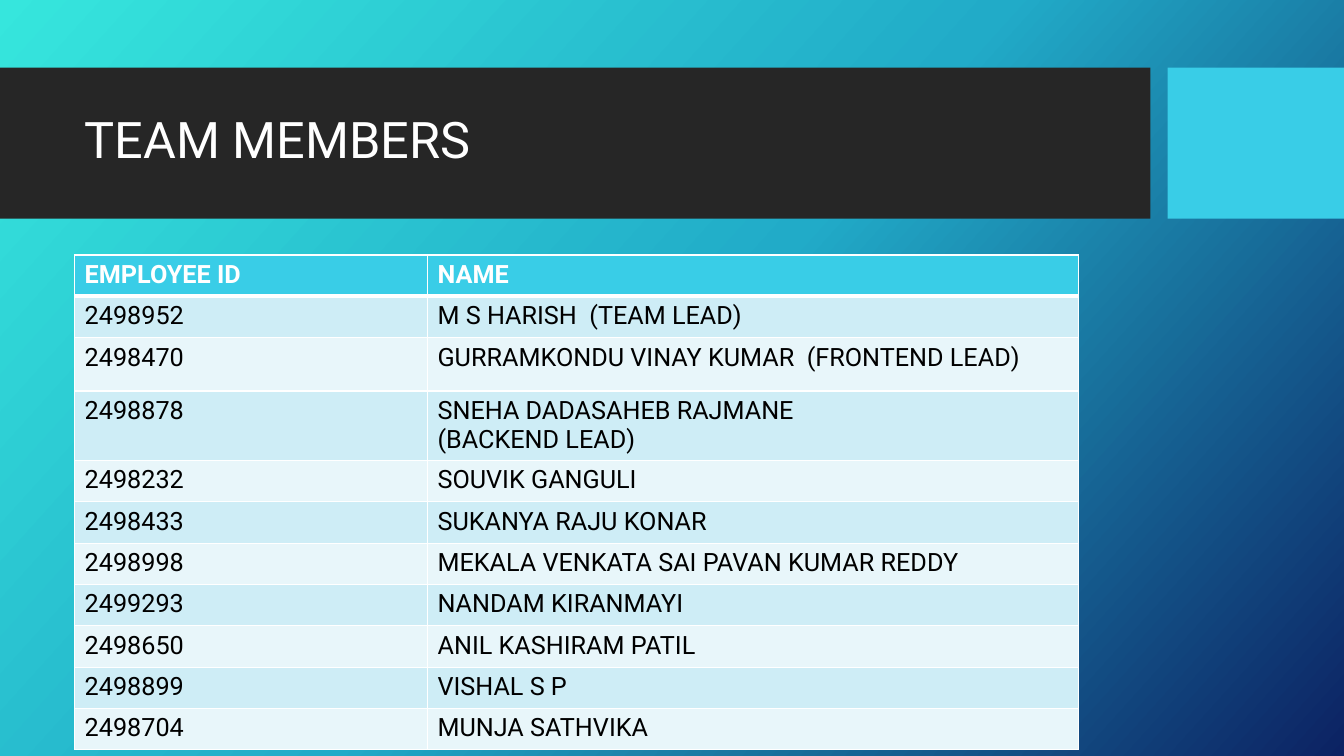
from lxml.etree import SubElement
from pptx import Presentation
from pptx.dml.color import RGBColor
from pptx.enum.shapes import MSO_SHAPE
from pptx.enum.text import MSO_ANCHOR, PP_ALIGN
from pptx.oxml.ns import qn
from pptx.util import Inches, Pt

COLORS = {
    "white": "FFFFFF", "black": "000000", "banner": "262626", "accent": "39CDE7",
    "band_dark": "CEEDF6", "band_light": "E8F6FA",
    "bg_start": "36E6DD", "bg_middle": "21ABC8", "bg_end": "0C2263",
}
HEADER = ("EMPLOYEE ID", "NAME")
MEMBERS = [
    ("2498952", "M S HARISH  (TEAM LEAD)"),
    ("2498470", "GURRAMKONDU VINAY KUMAR  (FRONTEND LEAD)"),
    ("2498878", "SNEHA DADASAHEB RAJMANE\n(BACKEND LEAD)"),
    ("2498232", "SOUVIK GANGULI"),
    ("2498433", "SUKANYA RAJU KONAR"),
    ("2498998", "MEKALA VENKATA SAI PAVAN KUMAR REDDY"),
    ("2499293", "NANDAM KIRANMAYI"),
    ("2498650", "ANIL KASHIRAM PATIL"),
    ("2498899", "VISHAL S P"),
    ("2498704", "MUNJA SATHVIKA"),
]
ROW_HEIGHT = 0.41
TALL_ROWS = {2: 0.53, 3: 0.69}


class SlideBuilder:
    """Hold the text style and the current slide, and add elements to it."""

    def __init__(self, slide, font="Roboto"):
        self.s = slide
        self.font = font

    def format_text(self, tf, size, color, bold=False):
        """Apply one font format to every paragraph of a text frame."""
        values = {"name": self.font, "size": Pt(size), "bold": bold}
        for p in tf.paragraphs:
            p.alignment = PP_ALIGN.LEFT
            for r in p.runs:
                for key, value in values.items():
                    setattr(r.font, key, value)
                r.font.color.rgb = RGBColor.from_string(COLORS[color])

    def background(self, stops, angle):
        """Fill the background with a linear gradient, angle clockwise."""
        fill = self.s.background.fill
        fill.gradient()
        fill.gradient_angle = 360 - angle
        gs_list = self.s._element.find(".//" + qn("a:gsLst"))
        for gs in list(gs_list):
            gs_list.remove(gs)
        for percent, color in stops:
            gs = SubElement(gs_list, qn("a:gs"), pos=str(percent * 1000))
            SubElement(gs, qn("a:srgbClr"), val=COLORS[color])

    def block(self, left, top, width, height, color):
        """Add a plain rectangle without outline."""
        sp = self.s.shapes.add_shape(
            MSO_SHAPE.RECTANGLE, *map(Inches, (left, top, width, height)))
        sp.shadow.inherit = False
        sp.fill.solid()
        sp.fill.fore_color.rgb = RGBColor.from_string(COLORS[color])
        sp.line.fill.background()

    def title(self, text, left, top, width, height):
        """Place the title placeholder in front of the blocks."""
        sp = self.s.shapes.title
        self.s.shapes._spTree.append(sp._element)
        box = {"left": left, "top": top, "width": width, "height": height}
        for key, value in box.items():
            setattr(sp, key, Inches(value))
        tf = sp.text_frame
        tf.text = text
        tf.word_wrap = True
        tf.vertical_anchor = MSO_ANCHOR.MIDDLE
        tf.paragraphs[0].line_spacing = 0.9
        self.format_text(tf, 36, "white")

    def borders(self, cell, widths):
        """Draw white cell borders with a width in points per side."""
        tc_pr = cell._tc.get_or_add_tcPr()
        for side, width in widths.items():
            ln = SubElement(tc_pr, qn("a:ln" + side), w=str(Pt(width)))
            fill = SubElement(ln, qn("a:solidFill"))
            SubElement(fill, qn("a:srgbClr"), val=COLORS["white"])

    def table(self, rows, left, top, col_widths, row_heights):
        """Add a table with a header row and banded body rows."""
        table = self.s.shapes.add_table(
            len(rows), len(col_widths), Inches(left), Inches(top),
            Inches(sum(col_widths)), Inches(sum(row_heights))).table
        for col, width in zip(table.columns, col_widths):
            col.width = Inches(width)
        for i, (row, height) in enumerate(zip(rows, row_heights)):
            table.rows[i].height = Inches(height)
            header = i == 0
            band = "accent" if header else "band_dark" if i % 2 else "band_light"
            for j, text in enumerate(row):
                cell = table.cell(i, j)
                cell.text = text
                self.format_text(cell.text_frame, 18, "white" if header else "black", header)
                self.borders(cell, {"L": 1, "R": 1, "T": 3 if i == 1 else 1,
                                    "B": 3 if header else 1})
                cell.fill.solid()
                cell.fill.fore_color.rgb = RGBColor.from_string(COLORS[band])


def main():
    """Build the team members slide."""
    prs = Presentation()
    prs.slide_width, prs.slide_height = Inches(13.33), Inches(7.5)
    builder = SlideBuilder(prs.slides.add_slide(prs.slide_layouts[5]))
    builder.background([(0, "bg_start"), (50, "bg_middle"), (100, "bg_end")], 42)
    builder.block(0, 0.67, 11.41, 1.5, "banner")
    builder.block(11.58, 0.67, 1.75, 1.5, "accent")
    builder.title("TEAM MEMBERS", 0.74, 0.82, 10.51, 1.18)
    rows = [HEADER, *MEMBERS]
    heights = [TALL_ROWS.get(i, ROW_HEIGHT) for i in range(len(rows))]
    builder.table(rows, 0.74, 2.53, (3.5, 6.46), heights)
    prs.save("out.pptx")


if __name__ == "__main__":
    main()
